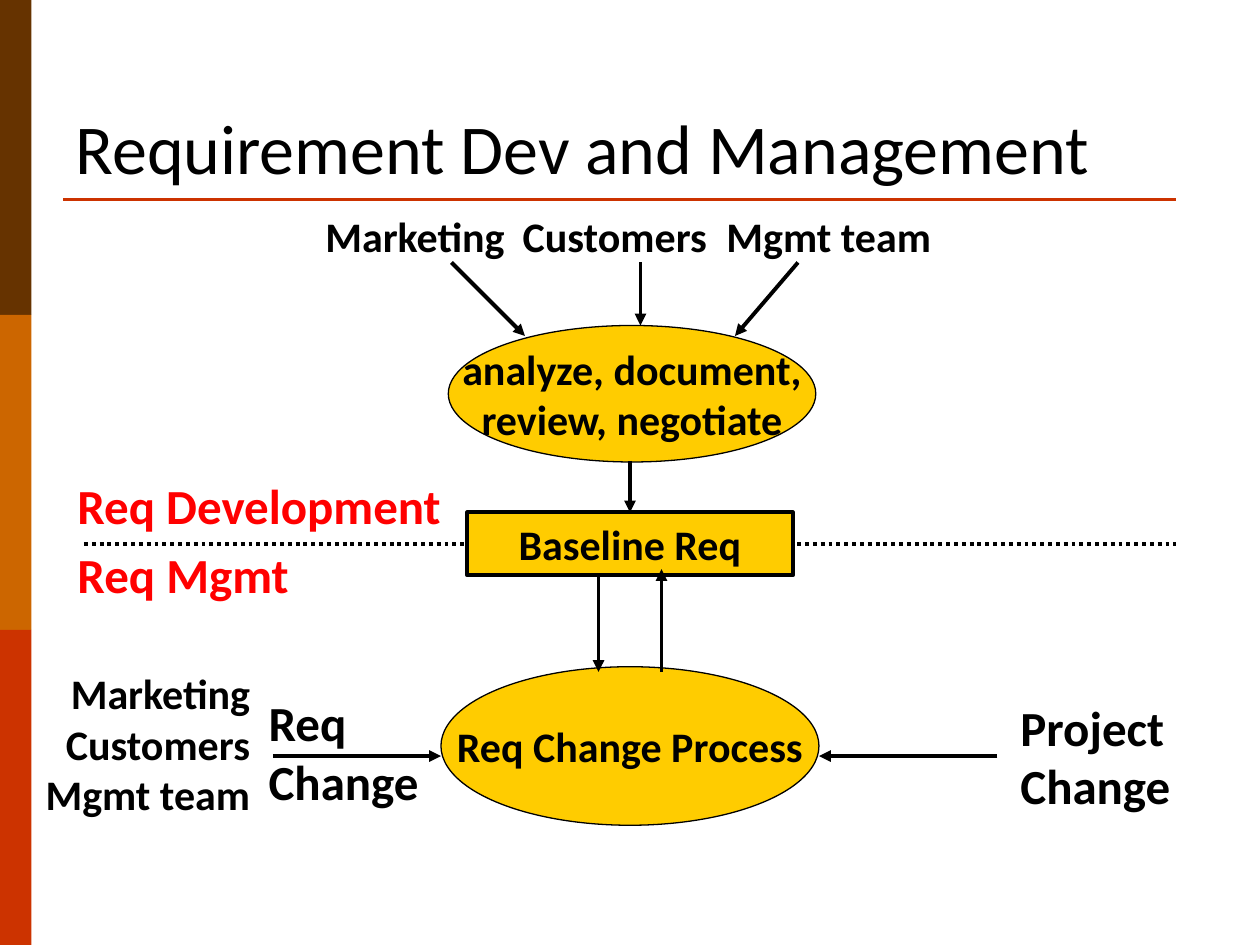
from lxml import etree
from pptx import Presentation
from pptx import util as u
from pptx.dml.color import RGBColor
from pptx.enum import dml, shapes, text
from pptx.oxml import ns

COLORS = {"brown": "663300", "orange": "CC6600", "rust": "CC3300",
          "gold": "FFCC00", "red": "FF0000", "black": "000000"}
FONT = "Calibri"
COLS, ROWS = 120, 90  # grid over the whole slide
CELL = u.Inches(10) / COLS
LEFT, CENTER, RIGHT = (text.PP_ALIGN.LEFT, text.PP_ALIGN.CENTER,
                       text.PP_ALIGN.RIGHT)


def cells(*values):
    return [u.Emu(round(v * CELL)) for v in values]


def rgb(name):
    return RGBColor.from_string(COLORS[name])


def write(tf, lines, size, color="black", bold=True, align=LEFT, tabs=()):
    """One paragraph per line, with optional tab stops given in cells."""
    for i, line in enumerate(lines):
        p = tf.paragraphs[0] if i == 0 else tf.add_paragraph()
        p.alignment = align
        if tabs:
            stops = etree.SubElement(p._p.get_or_add_pPr(), ns.qn("a:tabLst"))
            for stop in cells(*tabs):
                etree.SubElement(stops, ns.qn("a:tab"), pos=str(stop), algn="l")
        r = p.add_run()
        r.text = line
        r.font.name, r.font.size, r.font.bold = FONT, u.Pt(size), bold
        r.font.color.rgb = rgb(color)


def label(s, box, lines, size=28, color="black", align=LEFT, wrap=False, tabs=()):
    tf = s.shapes.add_textbox(*cells(*box)).text_frame
    tf.word_wrap = wrap
    write(tf, lines, size, color, align=align, tabs=tabs)


def block(s, kind, box, fill, lines=(), line_width=None):
    sp = s.shapes.add_shape(kind, *cells(*box))
    sp.shadow.inherit = False
    sp.fill.solid()
    sp.fill.fore_color.rgb = rgb(fill)
    if line_width:
        sp.line.color.rgb = rgb("black")
        sp.line.width = u.Pt(line_width)
    else:
        sp.line.fill.background()
    tf = sp.text_frame
    tf.word_wrap = False
    tf.vertical_anchor = text.MSO_ANCHOR.MIDDLE
    write(tf, lines, 24, align=CENTER)
    return sp


def rule(s, x1, y1, x2, y2, color="black", width=2.25, arrow=False):
    cx = s.shapes.add_connector(shapes.MSO_CONNECTOR.STRAIGHT,
                                *cells(x1, y1, x2, y2))
    cx.line.color.rgb = rgb(color)
    cx.line.width = u.Pt(width)
    if arrow:
        etree.SubElement(cx.line._get_or_add_ln(), ns.qn("a:tailEnd"),
                         type="triangle")
    etree.SubElement(cx._element.spPr, ns.qn("a:effectLst"))
    return cx


def frame(s, x, y, w, h):
    """Side stripes, title and the rule under it."""
    stripes = ("brown", "orange", "rust")
    for i, color in enumerate(stripes):
        block(s, shapes.MSO_SHAPE.RECTANGLE,
              (x, y + i * h / 3, w / 40, h / 3), color)
    rule(s, x + 6, y + 19, x + w - 8, y + 19, "rust", 1.5)
    title = s.shapes.title
    title.left, title.top, title.width, title.height = cells(
        x + 6, y + 3.6, w - 12, 15)
    tf = title.text_frame
    tf.vertical_anchor = text.MSO_ANCHOR.BOTTOM
    write(tf, ["Requirement Dev and Management"], 40, bold=False)


def development(s, x, y, w, h):
    """Sources that feed the analysis ellipse."""
    label(s, (x, y, w, 6), ["Marketing\tCustomers\tMgmt team"], 24,
          wrap=True, tabs=(18.8, 38.2))
    block(s, shapes.MSO_SHAPE.OVAL, (x + 12.9, y + h - 13, 35, 13), "gold",
          ["analyze, document,", "review, negotiate"], 0.75)
    top = y + 5.5
    for start, end, drop in ((43, 50, 7), (76, 70, 7), (61, 61, 6)):
        rule(s, start, top, end, top + drop, arrow=True)


def baseline(s, x, y, w, h):
    """Dotted divide with the baseline box in its middle."""
    middle, center = y + h / 2, x + w / 2
    divide = rule(s, x, middle, x + w, middle)
    divide.line.dash_style = dml.MSO_LINE.ROUND_DOT
    box = block(s, shapes.MSO_SHAPE.RECTANGLE, (center - 15.5, y, 31, h),
                "gold", ["Baseline Req"], 2.25)
    rule(s, center, y - 4.9, center, y, arrow=True).end_connect(box, 0)
    label(s, (x - 1.8, middle - 7.1, 37, 6.8), ["Req Development"], color="red")
    label(s, (x - 1.8, middle - 0.5, 22.5, 6.8), ["Req Mgmt"], color="red")


def management(s, x, y, w, h):
    """Change process with requests coming from both sides."""
    block(s, shapes.MSO_SHAPE.OVAL, (x + 40, y + 0.5, 36, h - 0.5), "gold",
          ["Req Change Process"], 0.75)
    rule(s, x + 55, y - 8, x + 55, y + 1, arrow=True)
    rule(s, x + 61, y + 1, x + 61, y - 8.8, arrow=True)
    rule(s, x + 24, y + 9, x + 40, y + 9, arrow=True)
    rule(s, x + 93, y + 9, x + 76, y + 9, arrow=True)
    label(s, (x, y, 23, h), ["Marketing", "Customers", "Mgmt team"], 24,
          align=RIGHT, wrap=True)
    label(s, (x + 22.4, y + 2.4, 16.7, 12.5), ["Req", "Change"])
    label(s, (x + 94, y + 2.8, 16.7, 12.5), ["Project", "Change"])


def main():
    prs = Presentation()
    prs.slide_width, prs.slide_height = cells(COLS, ROWS)
    s = prs.slides.add_slide(prs.slide_layouts[5])
    frame(s, 0, 0, COLS, ROWS)
    development(s, 29.8, 19.5, 60.4, 24.5)
    baseline(s, 8, 48.8, 104, 6)
    management(s, 2, 63, 112, 15.6)
    prs.save("out.pptx")


if __name__ == "__main__":
    main()
